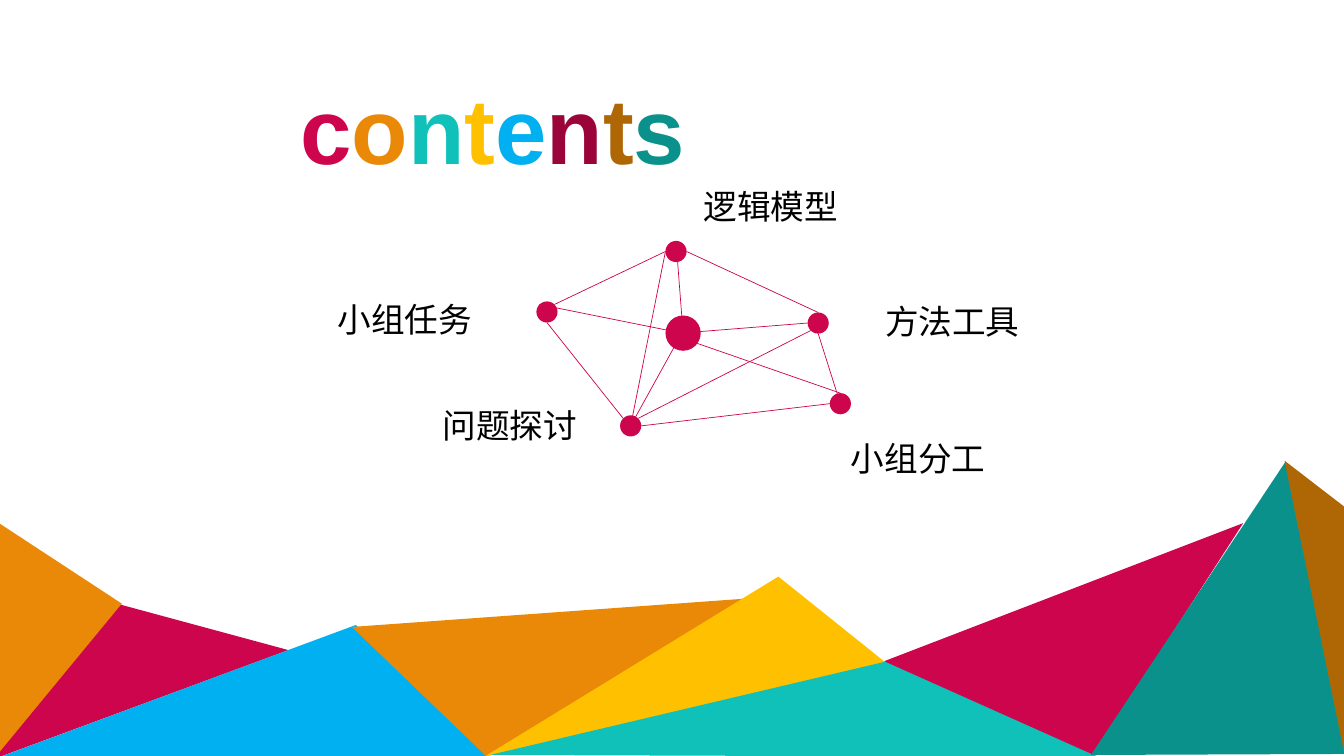
from dataclasses import dataclass
from math import sqrt

from lxml.etree import SubElement
from pptx import Presentation
from pptx.dml.color import RGBColor
from pptx.enum.shapes import MSO_CONNECTOR, MSO_SHAPE
from pptx.enum.text import MSO_AUTO_SIZE
from pptx.oxml.ns import qn
from pptx.util import Pt

PX = 9144


@dataclass(frozen=True)
class Theme:
    crimson: str = "CD054C"
    orange: str = "EA8908"
    turquoise: str = "0FC1B9"
    yellow: str = "FFC000"
    blue: str = "00B0F0"
    maroon: str = "9A0439"
    brown: str = "AF6706"
    teal: str = "0B918B"
    black: str = "000000"
    font: str = "Arial"
    title_size: int = 66
    label_size: int = 24
    line_width: float = 0.5


THEME = Theme()
SLIDE_SIZE = (1333, 750)

MOUNTAINS = [
    (THEME.orange, [(-4, 752), (-4, 517), (121, 599)]),
    (THEME.crimson, [(-6, 753), (120, 600), (286, 645)]),
    (THEME.blue, [(-3, 752), (353, 620), (486, 751)]),
    (THEME.orange, [(349, 622), (738, 594), (482, 750)]),
    (THEME.yellow, [(878, 657), (480, 751), (772, 572)]),
    (THEME.turquoise, [(1090, 751), (486, 749), (880, 656)]),
    (THEME.crimson, [(1085, 749), (877, 656), (1233, 519)]),
    (THEME.teal, [(1337, 748), (1082, 749), (1275, 458)]),
    (THEME.brown, [(1335, 504), (1333, 746), (1274, 457)]),
]

TITLE_BOX = (288, 67, 533, 121)
TITLE = [
    ("c", THEME.crimson), ("o", THEME.orange), ("n", THEME.turquoise),
    ("t", THEME.yellow), ("e", THEME.blue), ("n", THEME.maroon),
    ("t", THEME.brown), ("s", THEME.teal),
]

NODES = {
    "model": (660, 239, 21),
    "task": (532, 299, 21),
    "question": (615, 412, 21),
    "division": (823, 390, 21),
    "tools": (801, 310, 21),
    "hub": (660, 313, 35),
}
DIAGONAL = 1 / sqrt(2)
SIDES = {
    "center": (0, 0),
    "top": (0, -1),
    "bottom": (0, 1),
    "left": (-1, 0),
    "right": (1, 0),
    "top left": (-DIAGONAL, -DIAGONAL),
    "top right": (DIAGONAL, -DIAGONAL),
    "bottom left": (-DIAGONAL, DIAGONAL),
}
LINKS = [
    (("model", "left"), ("task", "top right")),
    (("task", "bottom"), ("question", "top left")),
    (("question", "right"), ("division", "left")),
    (("division", "center"), ("tools", "bottom")),
    (("tools", "top"), ("model", "right")),
    (("task", "top left"), (674, 330)),
    (("model", "top"), ("hub", "center")),
    (("question", "center"), (681, 322)),
    ((681, 330), ("tools", "left")),
    (("division", "top"), (681, 337)),
    (("question", "top right"), ("tools", "bottom left")),
    (("model", "left"), ("question", "center")),
]

LABEL_SIZE = (162, 50)
LABELS = [
    ("逻辑模型", 688, 180),
    ("小组任务", 325, 292),
    ("方法工具", 868, 294),
    ("小组分工", 834, 430),
    ("问题探讨", 429, 397),
]


def emu(*lengths):
    return [round(length * PX) for length in lengths]


def paint(shape, color):
    shape.shadow.inherit = False
    shape.fill.solid()
    shape.fill.fore_color.rgb = RGBColor.from_string(color)
    shape.line.fill.background()


def link_end(end):
    if end[0] not in NODES:
        return end
    left, top, size = NODES[end[0]]
    across, down = SIDES[end[1]]
    radius = size / 2
    return left + radius * (1 + across), top + radius * (1 + down)


def add_link(slide, start, finish):
    link = slide.shapes.add_connector(
        MSO_CONNECTOR.STRAIGHT, *emu(*link_end(start), *link_end(finish)))
    link.line.color.rgb = RGBColor.from_string(THEME.crimson)
    link.line.width = Pt(THEME.line_width)
    SubElement(link.element.spPr, qn("a:effectLst"))


def add_text(slide, place, spans, size, bold=False):
    box = slide.shapes.add_textbox(*emu(*place))
    frame = box.text_frame
    frame.word_wrap = True
    frame.auto_size = MSO_AUTO_SIZE.SHAPE_TO_FIT_TEXT
    para = frame.paragraphs[0]
    para.font.name = THEME.font
    para.font.size = Pt(size)
    para.font.bold = bold
    for text, color in spans:
        span = para.add_run()
        span.text = text
        span.font.color.rgb = RGBColor.from_string(color)


def main():
    deck = Presentation()
    deck.slide_width, deck.slide_height = emu(*SLIDE_SIZE)
    page = deck.slides.add_slide(deck.slide_layouts[6])

    for color, corners in MOUNTAINS:
        builder = page.shapes.build_freeform(*corners[0], scale=PX)
        builder.add_line_segments(corners[1:], close=True)
        paint(builder.convert_to_shape(), color)

    add_text(page, TITLE_BOX, TITLE, THEME.title_size, bold=True)

    for left, top, size in NODES.values():
        dot = page.shapes.add_shape(
            MSO_SHAPE.OVAL, *emu(left, top, size, size))
        paint(dot, THEME.crimson)

    for start, finish in LINKS:
        add_link(page, start, finish)

    for text, left, top in LABELS:
        add_text(page, (left, top, *LABEL_SIZE),
                 [(text, THEME.black)], THEME.label_size)

    deck.save("out.pptx")


if __name__ == "__main__":
    main()
